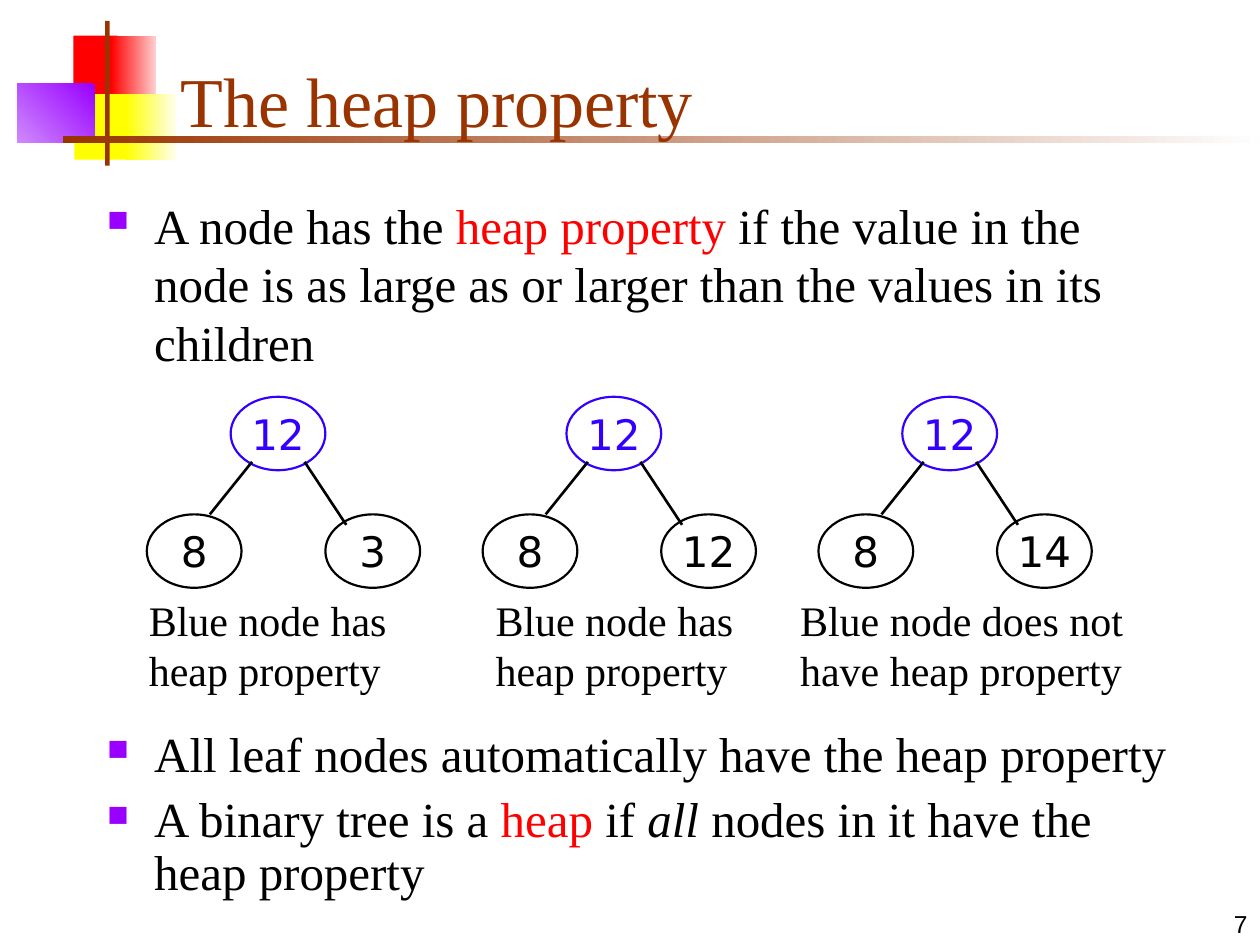
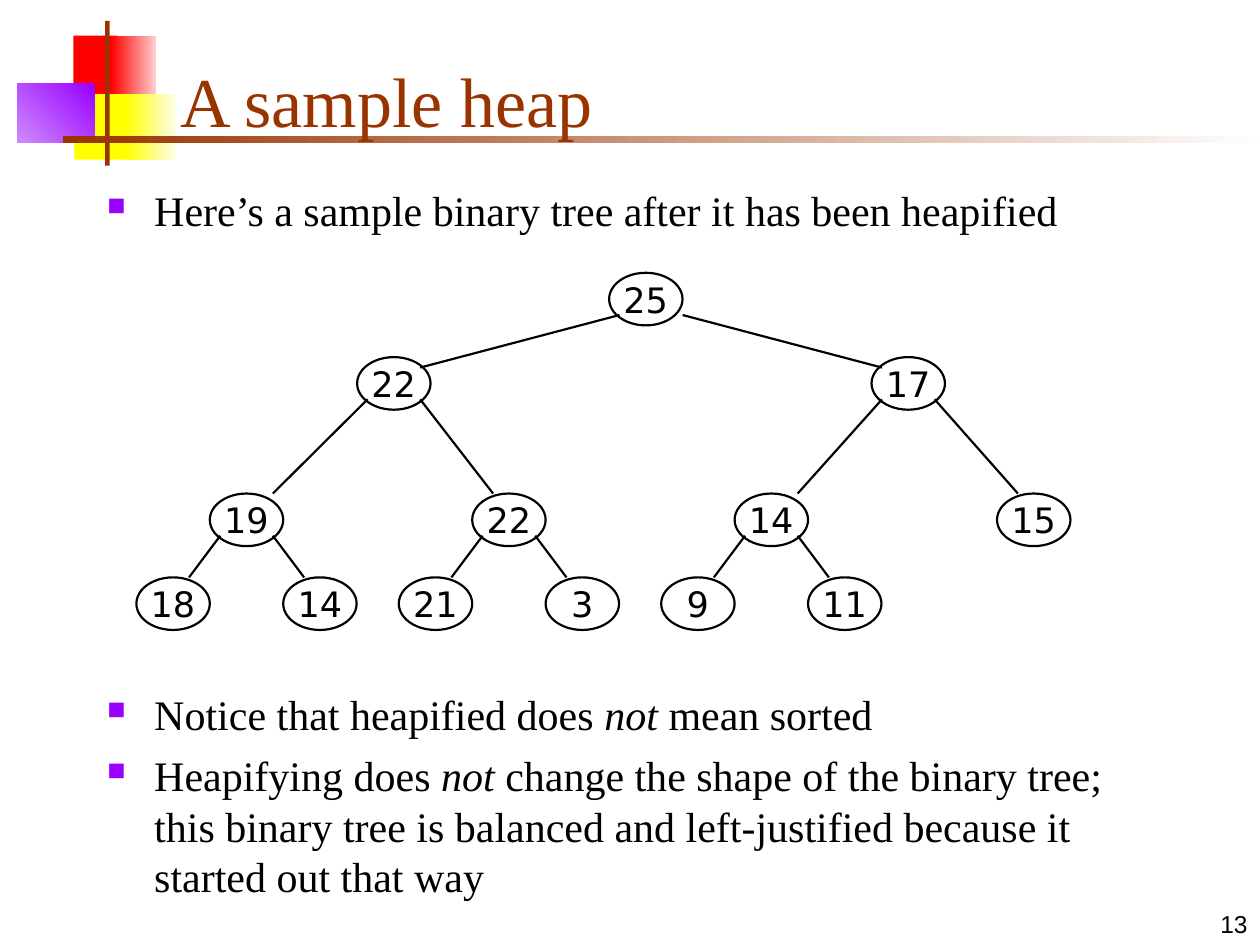
from dataclasses import dataclass
from typing import Optional

import pptx
import pptx.dml.color
import pptx.enum.shapes
import pptx.enum.text
import pptx.oxml.ns
import pptx.oxml.xmlchemy
import pptx.util
from lxml import etree
from pptx.dml.color import RGBColor
from pptx.util import Cm, Pt

# Shared look
BLACK = RGBColor(0x00, 0x00, 0x00)
RED = RGBColor(0xFF, 0x00, 0x00)
PALE_RED = RGBColor(0xFE, 0xD0, 0xD0)
YELLOW = RGBColor(0xFF, 0xFF, 0x00)
PALE_YELLOW = RGBColor(0xFE, 0xFE, 0xEF)
PURPLE = RGBColor(0x99, 0x00, 0xFF)
PALE_PURPLE = RGBColor(0xCF, 0x8A, 0xFE)
BROWN = RGBColor(0x99, 0x33, 0x00)
OFF_WHITE = RGBColor(0xFE, 0xFE, 0xFE)
BLUE = RGBColor(0x33, 0x00, 0xFF)

SERIF = "Times New Roman"
NODE_FONT = "DejaVu Sans"
NUMBER_FONT = "Arial"

ALIGN = pptx.enum.text.PP_ALIGN
ANCHOR = pptx.enum.text.MSO_ANCHOR
SHAPE = pptx.enum.shapes.MSO_SHAPE


# All lengths in the classes below are centimetres.
@dataclass(frozen=True)
class Box:
    left: float
    top: float
    width: float
    height: float

    def lengths(self) -> tuple:
        return Cm(self.left), Cm(self.top), Cm(self.width), Cm(self.height)


@dataclass(frozen=True)
class Block:
    box: Box
    color: RGBColor
    start: Optional[RGBColor] = None  # first gradient colour
    angle: int = 180


@dataclass(frozen=True)
class Run:
    text: str
    color: RGBColor = BLACK
    italic: bool = False


@dataclass(frozen=True)
class Style:
    size: int
    font: str = SERIF
    align: ALIGN = ALIGN.LEFT
    anchor: ANCHOR = ANCHOR.TOP
    before: int = 0
    line_spacing: Optional[float] = None
    bullet: bool = False


@dataclass(frozen=True)
class SmallTree:
    leaves: tuple[str, str]
    caption: str
    caption_left: float
    caption_width: float


@dataclass(frozen=True)
class Level:
    top: float
    lefts: list[float]
    left_end: float = 0  # where an edge meets a left child
    right_end: float = 0  # where an edge meets a right child
    end_drop: float = 0
    right_start: float = 1.27  # where the edge to a right child leaves


BLOCKS = [
    Block(Box(1.48, 0.72, 0.89, 1.32), RED),
    Block(Box(2.24, 0.72, 0.91, 1.32), RED, PALE_RED),
    Block(Box(1.5, 1.9, 1.17, 1.32), YELLOW),
    Block(Box(2.54, 1.9, 1.02, 1.32), YELLOW, PALE_YELLOW),
    Block(Box(0.35, 1.69, 1.56, 1.18), PALE_PURPLE, PURPLE, 225),
    Block(Box(2.12, 0.42, 0.09, 2.92), BROWN),
    Block(Box(1.27, 2.74, 24.13, 0.14), BROWN, OFF_WHITE),
]
TITLE_BOX = Box(3.39, 0.64, 21.64, 2.33)
NUMBER_BOX = Box(20.11, 17.78, 5.29, 1.27)
TITLE = Style(40, anchor=ANCHOR.BOTTOM)
NUMBER = Style(14, NUMBER_FONT, ALIGN.RIGHT, ANCHOR.BOTTOM)
CAPTION = Style(24, before=15)
BULLET_28 = Style(28, before=7, bullet=True)
BULLET_28_TIGHT = Style(28, before=7, line_spacing=0.9, bullet=True)
BULLET_24 = Style(24, before=6, bullet=True)


def add_bullet(p) -> None:
    pPr = p._p.get_or_add_pPr()
    pPr.set("marL", str(Cm(0.95)))
    pPr.set("indent", str(Cm(-0.95)))
    qn = pptx.oxml.ns.qn
    color = etree.SubElement(pPr, qn("a:buClr"))
    etree.SubElement(color, qn("a:srgbClr"), val=str(PURPLE))
    etree.SubElement(pPr, qn("a:buSzPct"), val="60000")
    etree.SubElement(pPr, qn("a:buChar"), char="■")


def write(tf, paragraphs: list[list[Run]], style: Style, wrap: bool = True) -> None:
    tf.word_wrap = wrap
    tf.vertical_anchor = style.anchor
    for i, runs in enumerate(paragraphs):
        p = tf.add_paragraph() if i else tf.paragraphs[0]
        p.alignment = style.align
        p.space_before = Pt(style.before)
        if style.line_spacing:
            p.line_spacing = style.line_spacing
        if style.bullet:
            add_bullet(p)
        for run in runs:
            r = p.add_run()
            r.text = run.text
            r.font.size = Pt(style.size)
            r.font.name = style.font
            r.font.color.rgb = run.color
            r.font.italic = run.italic


def add_text(s, box: Box, paragraphs: list[list[Run]], style: Style) -> None:
    write(s.shapes.add_textbox(*box.lengths()).text_frame, paragraphs, style)


def add_block(s, block: Block) -> None:
    sp = s.shapes.add_shape(SHAPE.RECTANGLE, *block.box.lengths())
    sp.shadow.inherit = False
    sp.line.fill.background()
    if block.start is None:
        sp.fill.solid()
        sp.fill.fore_color.rgb = block.color
        return
    sp.fill.gradient()
    sp.fill.gradient_angle = block.angle
    for stop, color in zip(sp.fill.gradient_stops, (block.start, block.color)):
        stop.color.rgb = color


def add_node(s, box: Box, value: str, size: int, color: RGBColor = BLACK) -> None:
    sp = s.shapes.add_shape(SHAPE.OVAL, *box.lengths())
    sp.shadow.inherit = False
    sp.fill.background()
    sp.line.color.rgb = color
    sp.line.width = Pt(1.25)
    style = Style(size, NODE_FONT, ALIGN.CENTER, ANCHOR.MIDDLE)
    write(sp.text_frame, [[Run(value, color)]], style, wrap=False)


def add_edge(s, x1: float, y1: float, x2: float, y2: float, width: float) -> None:
    line = s.shapes.add_connector(
        pptx.enum.shapes.MSO_CONNECTOR.STRAIGHT, Cm(x1), Cm(y1), Cm(x2), Cm(y2))
    line.line.color.rgb = BLACK
    line.line.width = Pt(width)
    etree.SubElement(line._element.spPr, pptx.oxml.ns.qn("a:effectLst"))


def add_slide(prs, title: str, number: str):
    s = prs.slides.add_slide(prs.slide_layouts[6])
    for block in BLOCKS:
        add_block(s, block)
    add_text(s, TITLE_BOX, [[Run(title, BROWN)]], TITLE)
    add_text(s, NUMBER_BOX, [[Run(number)]], NUMBER)
    return s


def add_small_tree(s, left: float, tree: SmallTree) -> None:
    width, height = 1.91, 1.48
    root_top, leaf_top, edge_top = 8, 10.37, 9.31
    add_node(s, Box(left + 1.69, root_top, width, height), "12", 24, BLUE)
    for dx, value in zip((0, 3.6), tree.leaves):
        add_node(s, Box(left + dx, leaf_top, width, height), value, 24)
    add_edge(s, left + 2.12, edge_top, left + 1.27, leaf_top, 1.5)
    add_edge(s, left + 3.18, edge_top, left + 4.02, leaf_top + 0.21, 1.5)
    box = Box(tree.caption_left, 11.85, tree.caption_width, 2.29)
    add_text(s, box, [[Run(tree.caption)]], CAPTION)


def build_heap_property(prs) -> None:
    s = add_slide(prs, "The heap property", "7")
    add_text(s, Box(1.91, 3.81, 21.59, 4.02), [
        [Run("A node has the "), Run("heap property", RED),
         Run(" if the value in the node is as large as or larger than "
             "the values in its children")],
    ], BULLET_28)
    add_text(s, Box(1.91, 14.6, 22.23, 3.81), [
        [Run("All leaf nodes automatically have the heap property")],
        [Run("A binary tree is a "), Run("heap", RED), Run(" if "),
         Run("all", italic=True), Run(" nodes in it have the heap property")],
    ], BULLET_28_TIGHT)

    # Three example trees at equal steps
    has_property = "Blue node has heap property"
    trees = [
        SmallTree(("8", "3"), has_property, 2.75, 5.5),
        SmallTree(("8", "12"), has_property, 9.74, 5.5),
        SmallTree(("8", "14"), "Blue node does not have heap property", 15.88, 7.2),
    ]
    for i, tree in enumerate(trees):
        add_small_tree(s, 2.96 + 6.77 * i, tree)


def add_heap(s, values: list[int]) -> None:
    """Draw a heap stored as an array: the parent of i is (i - 1) // 2."""
    width, height = 1.48, 1.06
    thirds = [4.23 + 5.29 * i for i in range(4)]
    leaves = [left + dx for left in thirds for dx in (-width, width)]
    levels = [
        Level(5.5, [12.28], right_start=width),
        Level(7.2, [7.2, 17.57], 1.27, 0.21, 0.21),
        Level(9.95, thirds, 1.27, 0.42),
        Level(11.64, leaves, 1.06, 0.42),
    ]
    places = [(level, left) for level in levels for left in level.lefts]
    for i, value in enumerate(values):
        level, left = places[i]
        add_node(s, Box(left, level.top, width, height), str(value), 20)
        if i == 0:
            continue
        parent, parent_left = places[(i - 1) // 2]
        is_left = i % 2 == 1
        start = 0.21 if is_left else parent.right_start
        end = level.left_end if is_left else level.right_end
        add_edge(s, parent_left + start, parent.top + 0.85,
                 left + end, level.top + level.end_drop, 1.25)


def build_sample_heap(prs) -> None:
    s = add_slide(prs, "A sample heap", "13")
    add_text(s, Box(1.91, 3.6, 21.59, 2.12), [
        [Run("Here’s a sample binary tree after it has been heapified")],
    ], BULLET_24)
    add_text(s, Box(1.91, 13.76, 21.59, 4.66), [
        [Run("Notice that heapified does "), Run("not", italic=True),
         Run(" mean sorted")],
        [Run("Heapifying does "), Run("not", italic=True),
         Run(" change the shape of the binary tree; this binary tree is "
             "balanced and left-justified because it started out that way")],
    ], BULLET_24)
    add_heap(s, [25, 22, 17, 19, 22, 14, 15, 18, 14, 21, 3, 9, 11])


def main() -> None:
    prs = pptx.Presentation()
    prs.slide_width, prs.slide_height = Cm(25.4), Cm(19.05)
    build_heap_property(prs)
    build_sample_heap(prs)
    prs.save("out.pptx")


if __name__ == "__main__":
    main()
